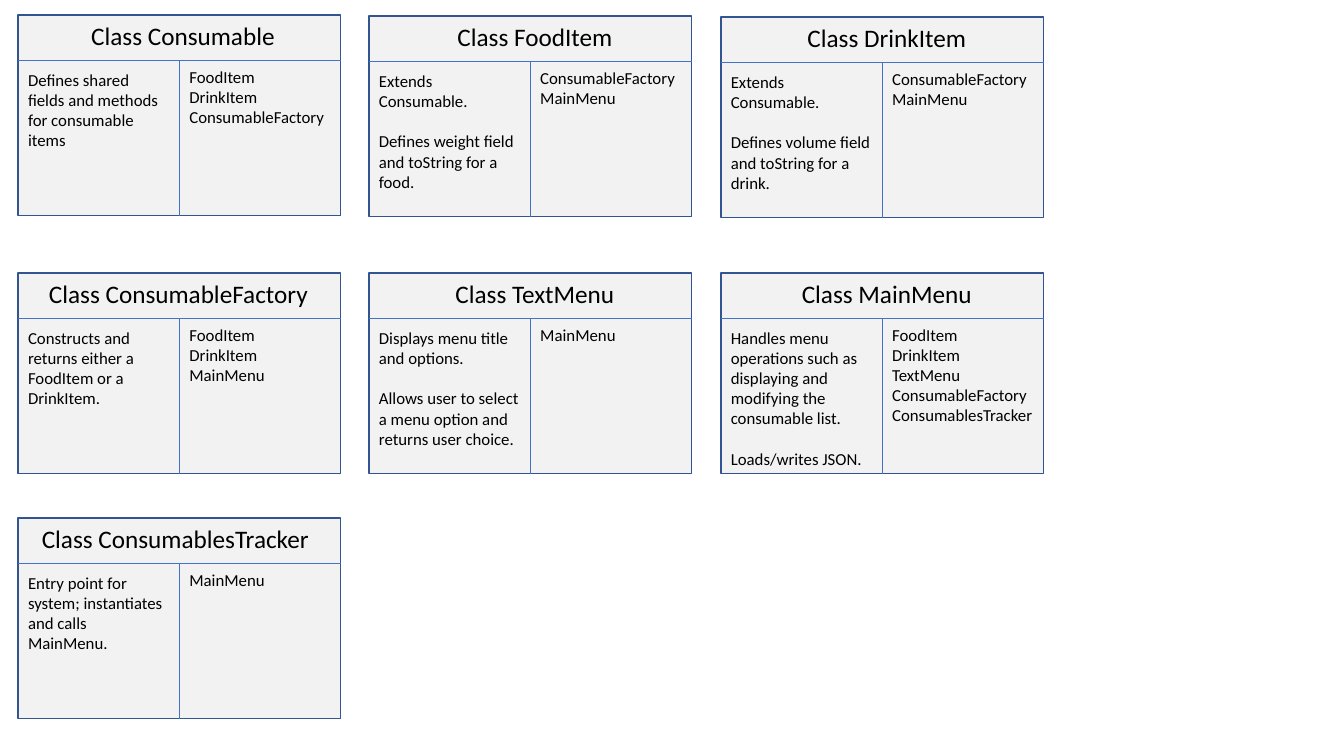
"""Builds a slide of class cards with their duties and collaborators."""
from pptx import Presentation
from pptx import util as u
from pptx.dml.color import RGBColor
from pptx.enum import shapes, text
from pptx.oxml.ns import qn
from lxml import etree

COLORS = {"card": "F2F2F2", "border": "325491", "rule": "4472C4", "ink": "000000"}
FONT = "Calibri"
CARD_WIDTH, CARD_HEIGHT, HEADER = 3.2, 1.99, 0.45
HALF = CARD_WIDTH / 2
LINE_HEIGHT, PADDING = 0.2, 0.1

CARDS = [
    (0.18, 0.15, 0.29, 2.69, "Consumable", 4,
     ["Defines shared fields and methods for consumable items"],
     ["FoodItem", "DrinkItem", "ConsumableFactory"]),
    (3.66, 0.16, 0.3, 2.69, "FoodItem", 6,
     ["Extends Consumable.", "Defines weight field and toString for a food."],
     ["ConsumableFactory", "MainMenu"]),
    (7.15, 0.17, 0.3, 2.69, "DrinkItem", 6,
     ["Extends Consumable.", "Defines volume field and toString for a drink."],
     ["ConsumableFactory", "MainMenu"]),
    (0.18, 2.71, 0.2, 2.78, "ConsumableFactory", 4,
     ["Constructs and returns either a FoodItem or a DrinkItem."],
     ["FoodItem", "DrinkItem", "MainMenu"]),
    (3.66, 2.71, 0.3, 2.69, "TextMenu", 6,
     ["Displays menu title and options.",
      "Allows user to select a menu option and returns user choice."],
     ["MainMenu"]),
    (7.15, 2.71, 0.3, 2.69, "MainMenu", 7,
     ["Handles menu operations such as displaying and modifying the consumable list.",
      "Loads/writes JSON."],
     ["FoodItem", "DrinkItem", "TextMenu", "ConsumableFactory", "ConsumablesTracker"]),
    (0.18, 5.14, 0.13, 2.86, "ConsumablesTracker", 4,
     ["Entry point for system; instantiates and calls MainMenu."],
     ["MainMenu"]),
]


class CardPage:
    """Holds the style and the current slide."""

    def __init__(self, page):
        self.page = page

    def color(self, name):
        return RGBColor.from_string(COLORS[name])

    def rule(self, group, *ends):
        line = group.shapes.add_connector(
            shapes.MSO_CONNECTOR.STRAIGHT, *map(u.Inches, ends))
        line.line.color.rgb = self.color("rule")
        line.line.width = u.Pt(0.5)
        etree.SubElement(line._element.spPr, qn("a:effectLst"))

    def frame(self, left, top):
        group = self.page.shapes.add_group_shape()
        box = group.shapes.add_shape(
            shapes.MSO_SHAPE.RECTANGLE,
            *map(u.Inches, (left, top, CARD_WIDTH, CARD_HEIGHT)))
        box.shadow.inherit = False
        box.fill.solid()
        box.fill.fore_color.rgb = self.color("card")
        box.line.color.rgb = self.color("border")
        box.line.width = u.Pt(1)
        middle, divider = left + HALF, top + HEADER
        self.rule(group, left, divider, left + CARD_WIDTH, divider)
        self.rule(group, middle, divider, middle, top + CARD_HEIGHT)

    def label(self, left, top, width, height, lines, size=12, gap=0, align=None):
        box = self.page.shapes.add_textbox(
            *map(u.Inches, (left, top, width, height)))
        frame = box.text_frame
        frame.word_wrap = True
        frame.auto_size = text.MSO_AUTO_SIZE.SHAPE_TO_FIT_TEXT
        frame.text = "\n".join(lines)
        for index, para in enumerate(frame.paragraphs):
            para.alignment = align
            if index and gap:
                para.space_before = u.Pt(gap)
            for span in para.runs:
                span.font.name = FONT
                span.font.size = u.Pt(size)
                span.font.color.rgb = self.color("ink")

    def card(self, left, top, inset, width, name, duty_lines, duties, partners):
        self.frame(left, top)
        self.label(left + inset, top, width, 0.4, [f"Class {name}"], 18,
                   align=text.PP_ALIGN.CENTER)
        self.label(left, top + 0.49, HALF, PADDING + LINE_HEIGHT * duty_lines,
                   duties, gap=14.5)
        self.label(left + HALF, top + 0.46, HALF,
                   PADDING + LINE_HEIGHT * len(partners), partners)


deck = Presentation()
deck.slide_width, deck.slide_height = u.Inches(13.33), u.Inches(7.5)
sheet = CardPage(deck.slides.add_slide(deck.slide_layouts[6]))
for entry in CARDS:
    sheet.card(*entry)
deck.save("out.pptx")
